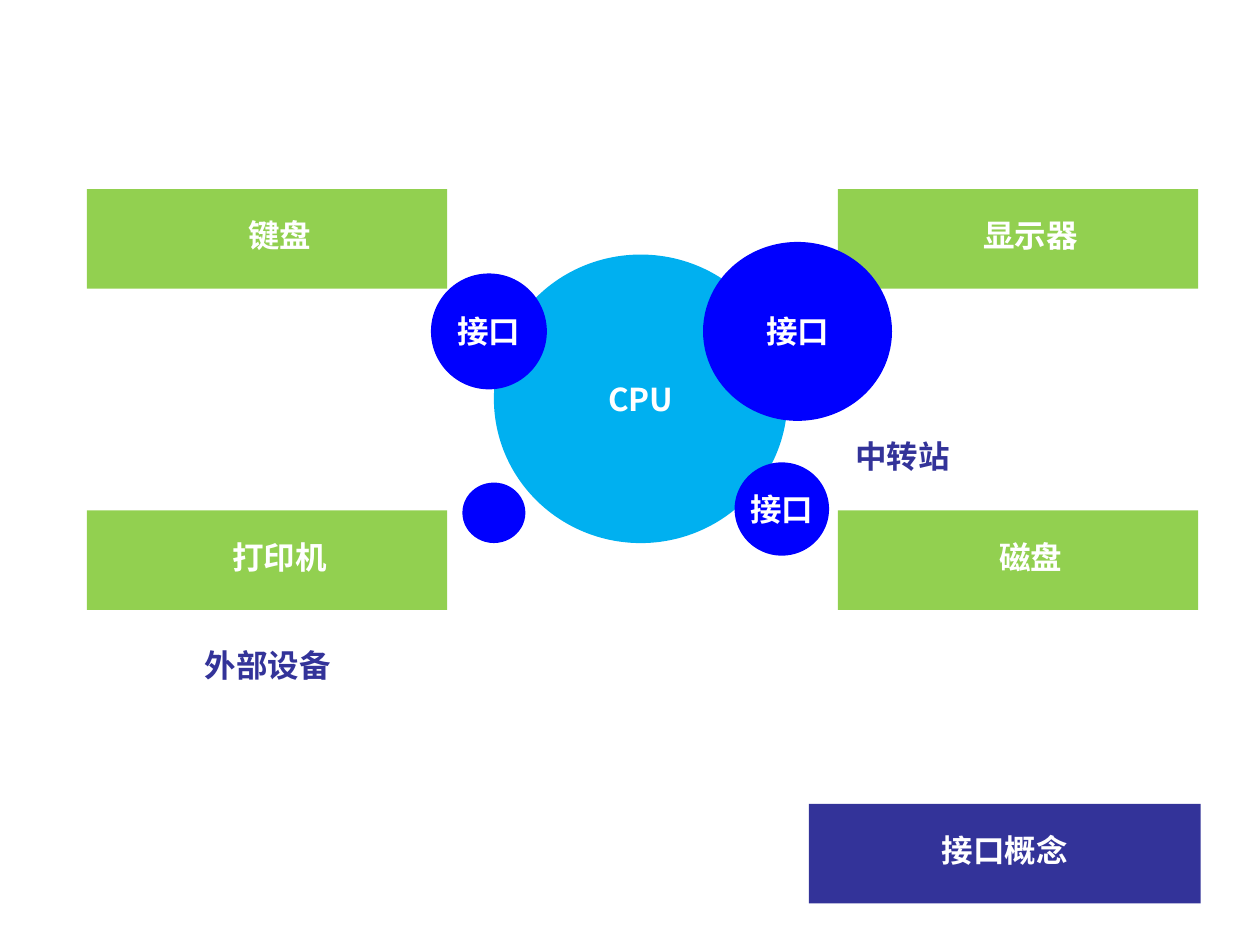
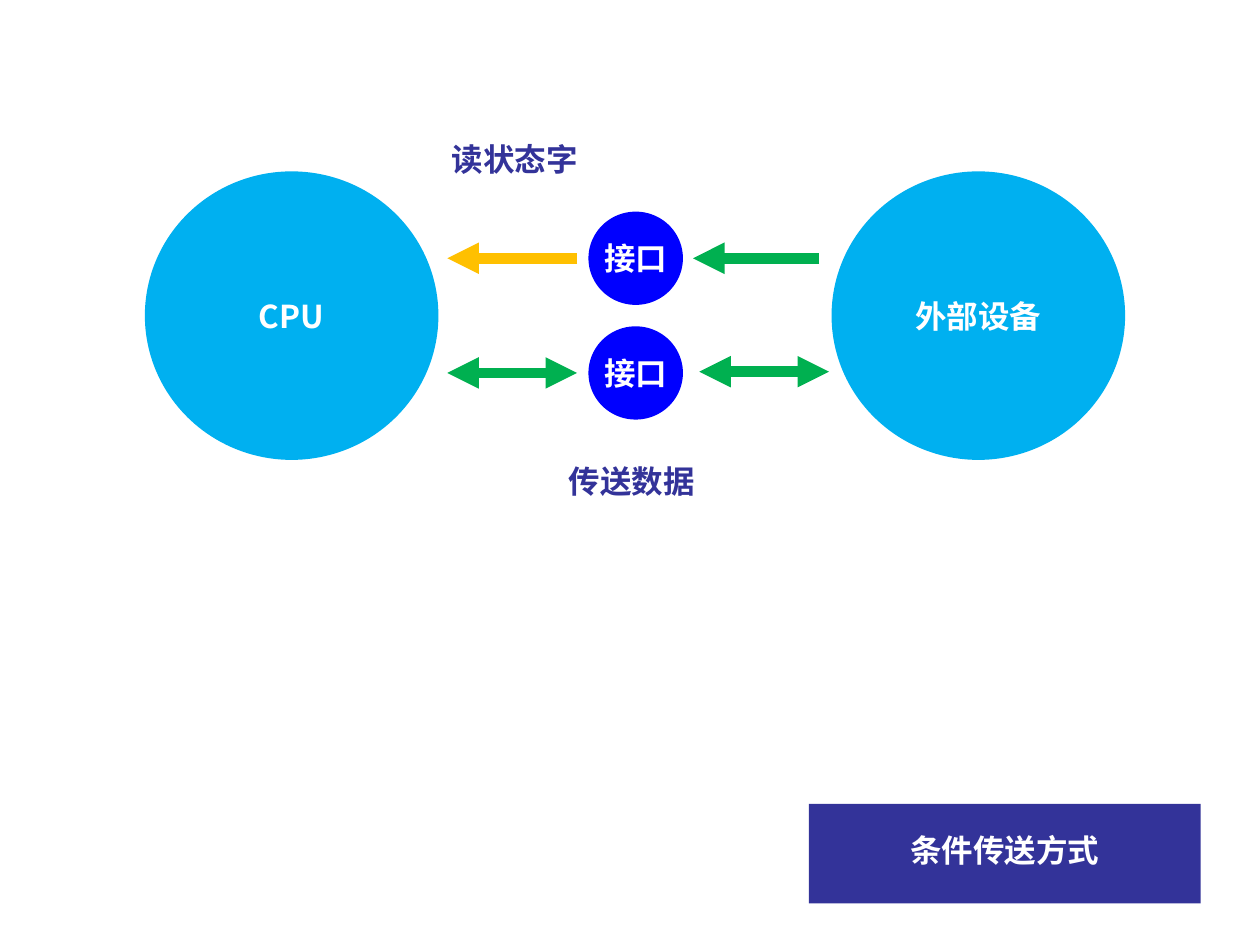
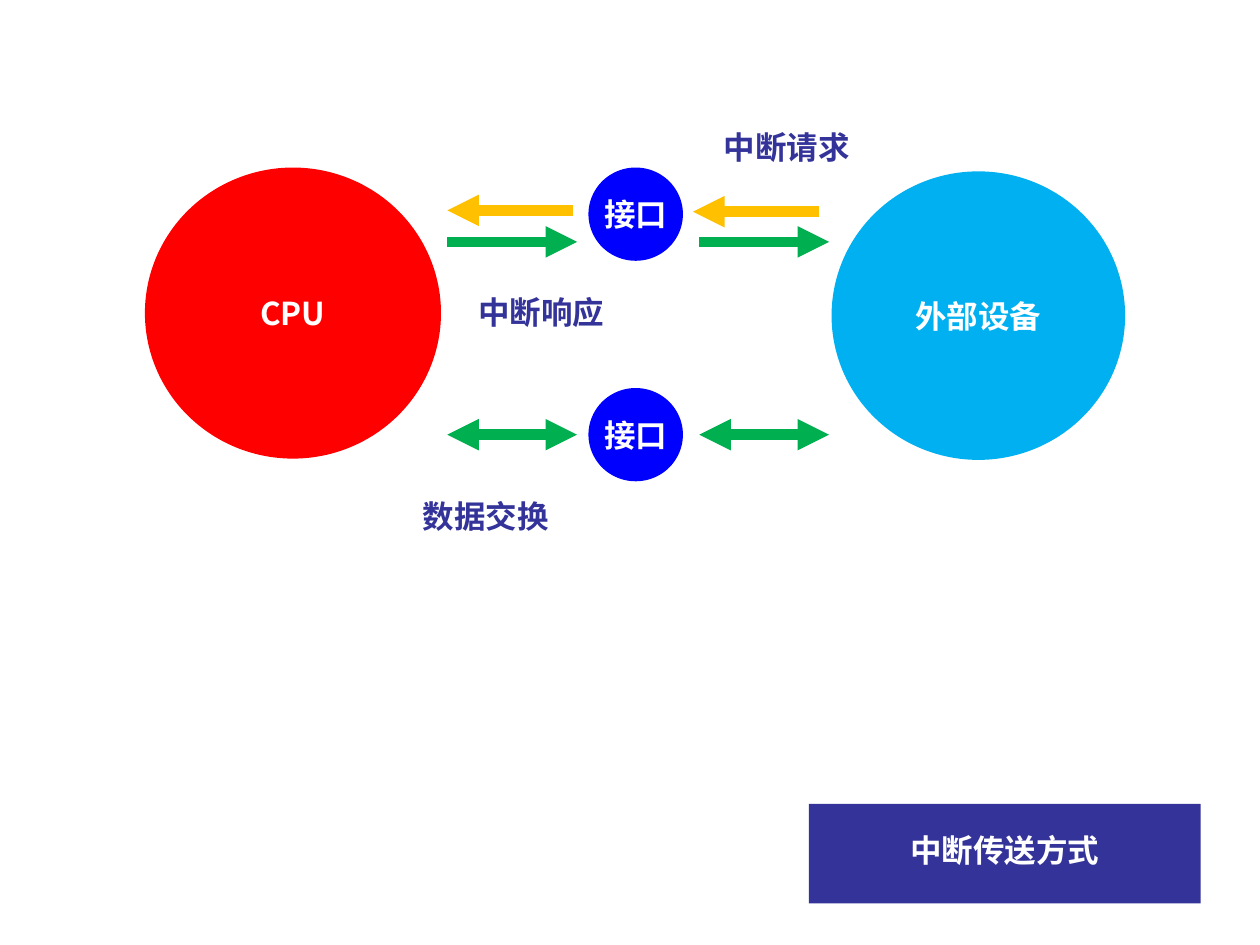
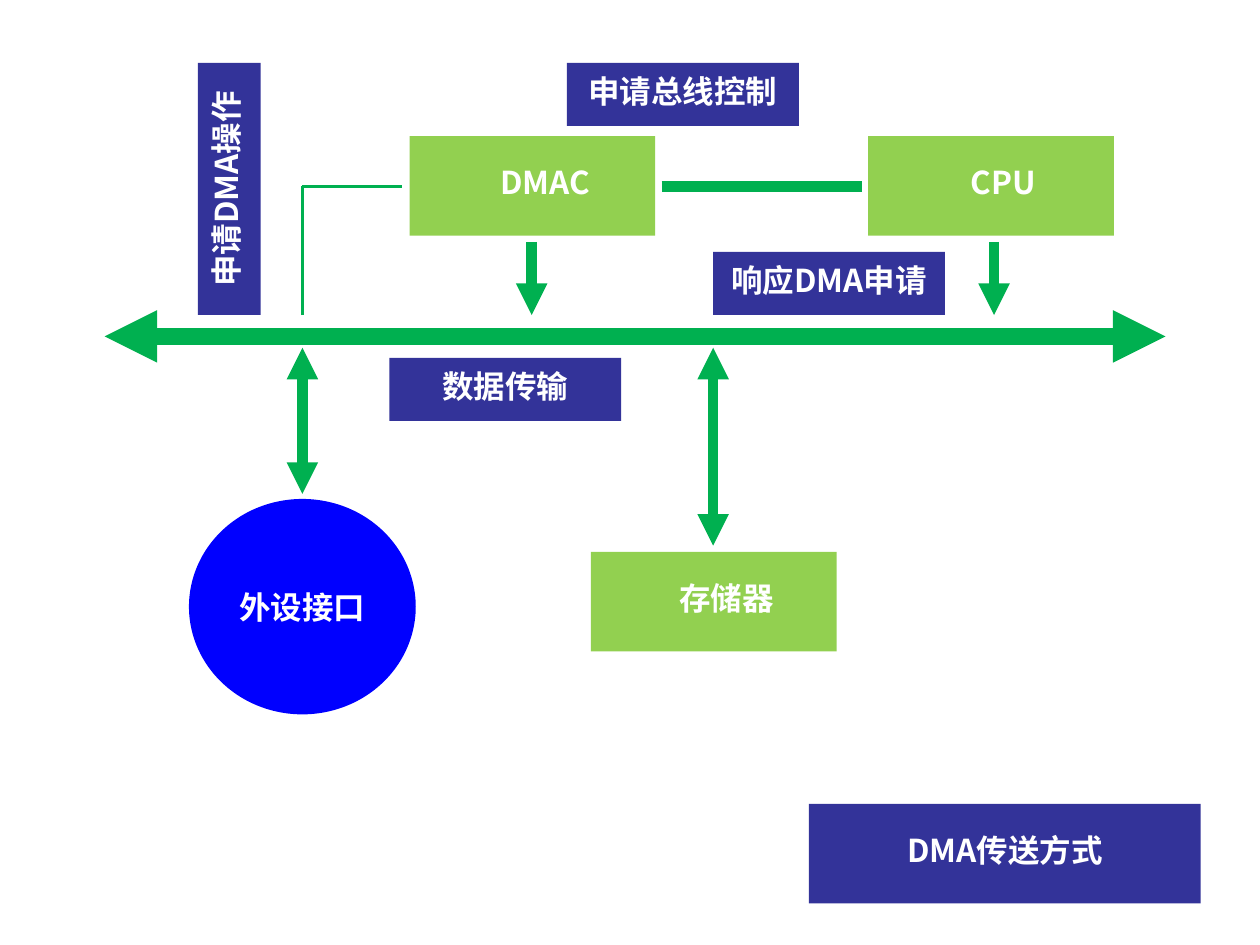
from pptx import Presentation, util as u
from pptx.dml.color import RGBColor
from pptx.enum import shapes, text
from pptx.oxml import ns
from lxml import etree

WHITE = RGBColor(0xFF, 0xFF, 0xFF)
NAVY = RGBColor(0x33, 0x33, 0x99)
BLUE = RGBColor(0x00, 0x00, 0xFF)
SKY = RGBColor(0x00, 0xB0, 0xF0)
LIME = RGBColor(0x92, 0xD0, 0x50)
GREEN = RGBColor(0x00, 0xB0, 0x50)
AMBER = RGBColor(0xFF, 0xC0, 0x00)
RED = RGBColor(0xFF, 0x00, 0x00)


class Deck:
    font = "Noto Sans CJK SC"
    size = u.Pt(18)
    high = 0.79

    def __init__(self):
        self.file = Presentation()
        self.file.slide_width = u.Inches(10)
        self.file.slide_height = u.Inches(7.5)

    def page(self, title):
        self.slide = self.file.slides.add_slide(self.file.slide_layouts[5])
        box = self.slide.shapes.title
        box.left, box.top = u.Inches(6.42), u.Inches(6.38)
        box.width, box.height = u.Inches(3.11), u.Inches(self.high)
        box.fill.solid()
        box.fill.fore_color.rgb = NAVY
        self.letter(box, title, WHITE)
        self.space(box)

    def letter(self, box, words, color):
        frame = box.text_frame
        frame.text = words
        frame.word_wrap = False
        frame.auto_size = text.MSO_AUTO_SIZE.NONE
        frame.vertical_anchor = text.MSO_ANCHOR.MIDDLE
        para = frame.paragraphs[0]
        para.alignment = text.PP_ALIGN.CENTER
        for run in para.runs:
            run.font.name = self.font
            run.font.size = self.size
            run.font.bold = True
            run.font.color.rgb = color
            east = etree.SubElement(run._r.get_or_add_rPr(), ns.qn("a:ea"))
            east.set("typeface", self.font)

    def space(self, box, left=0.67, first=-0.67):
        para = box.text_frame.paragraphs[0]
        para.line_spacing = 0.8
        para.space_before = para.space_after = u.Pt(6)
        props = para._p.get_or_add_pPr()
        props.set("marL", str(u.Inches(left)))
        props.set("indent", str(u.Inches(first)))

    def shape(self, kind, at, fill, words, color=WHITE):
        box = self.slide.shapes.add_shape(kind, *map(u.Inches, at))
        box.shadow.inherit = False
        box.line.fill.background()
        box.fill.solid()
        box.fill.fore_color.rgb = fill
        if words:
            self.letter(box, words, color)
        return box

    def disc(self, words, x, y, w, h, fill=BLUE):
        self.shape(shapes.MSO_SHAPE.OVAL, (x, y, w, h), fill, words)

    def big(self, words, x, y, w=2.33, h=2.29, fill=SKY):
        self.disc(words, x, y, w, h, fill)

    def port(self, x, y):
        self.disc("接口", x, y, 0.75, 0.74)

    def block(self, words, x, y, w):
        at = x, y, w, self.high
        box = self.shape(shapes.MSO_SHAPE.RECTANGLE, at, LIME, words)
        box.text_frame.paragraphs[0].level = 1
        self.space(box, 0.2, 0)

    def note(self, words, x, y, w):
        at = x, y, w, self.high
        box = self.shape(shapes.MSO_SHAPE.RECTANGLE, at, WHITE, words, NAVY)
        self.space(box)

    def label(self, words, x, y, w=1.84, h=0.5):
        box = self.shape(shapes.MSO_SHAPE.RECTANGLE, (x, y, w, h), NAVY, words)
        self.space(box)
        return box

    def plain(self, words, x, y, w, h):
        box = self.slide.shapes.add_textbox(*map(u.Inches, (x, y, w, h)))
        self.letter(box, words, NAVY)
        self.space(box)

    def line(self, x1, y1, x2, y2, color=GREEN, width=6, ends=()):
        link = self.slide.shapes.add_connector(
            shapes.MSO_CONNECTOR.STRAIGHT, *map(u.Inches, (x1, y1, x2, y2)))
        link.line.color.rgb = color
        link.line.width = u.Pt(width)
        stroke = link.line._get_or_add_ln()
        for end in ends:
            etree.SubElement(stroke, ns.qn("a:" + end)).set("type", "triangle")
        etree.SubElement(link._element.spPr, ns.qn("a:effectLst"))

    def arrow(self, *at, color=GREEN):
        self.line(*at, color=color, ends=("tailEnd",))

    def both(self, *at, width=6):
        self.line(*at, width=width, ends=("headEnd", "tailEnd"))


deck = Deck()

deck.page("接口概念")
deck.note("中转站", 6.5, 3.25, 1.33)
for words, x, y in (("显示器", 6.65, 1.5), ("磁盘", 6.65, 4.05),
                    ("键盘", 0.69, 1.5), ("打印机", 0.69, 4.05)):
    deck.block(words, x, y, 2.86)
deck.big("CPU", 3.92, 2.02)
deck.disc("接口", 3.42, 2.17, 0.92, 0.92)
deck.disc("", 3.67, 3.83, 0.5, 0.48)
deck.port(5.83, 3.67)
deck.disc("接口", 5.58, 1.92, 1.5, 1.42)
deck.note("外部设备", 0.69, 4.91, 2.87)

deck.page("条件传送方式")
deck.note("读状态字", 3.42, 0.89, 1.33)
deck.big("CPU", 1.15, 1.36)
deck.port(4.67, 2.59)
deck.note("传送数据", 3.58, 3.45, 2.87)
deck.big("外部设备", 6.6, 1.36)
deck.port(4.67, 1.68)
deck.arrow(4.58, 2.05, 3.55, 2.05, color=AMBER)
deck.arrow(6.5, 2.05, 5.5, 2.05)
deck.both(3.55, 2.96, 4.58, 2.96)
deck.both(5.55, 2.95, 6.58, 2.95)

deck.page("中断传送方式")
deck.note("中断请求", 5.58, 0.8, 1.33)
deck.port(4.67, 3.08)
deck.note("中断响应", 3.58, 2.11, 1.43)
deck.big("外部设备", 6.6, 1.36)
deck.port(4.67, 1.33)
deck.arrow(6.5, 1.68, 5.5, 1.68, color=AMBER)
deck.arrow(4.55, 1.67, 3.55, 1.67, color=AMBER)
for x in (3.55, 5.55):
    deck.both(x, 3.45, x + 1.03, 3.45)
    deck.arrow(x, 1.92, x + 1.03, 1.92)
deck.big("CPU", 1.15, 1.33, 2.35, 2.31, RED)
deck.plain("数据交换", 3.08, 3.83, 1.55, 0.58)

deck.page("DMA传送方式")
deck.label("申请总线控制", 4.5, 0.5)
deck.disc("外设接口", 1.5, 3.96, 1.8, 1.71)
deck.line(5.25, 1.48, 6.84, 1.48)
deck.both(0.83, 2.67, 9.25, 2.67, width=10)
for words, x, y in (("DMAC", 3.25, 1.08), ("CPU", 6.89, 1.08),
                    ("存储器", 4.69, 4.38)):
    deck.block(words, x, y, 1.95)
for x in (4.22, 7.89):
    deck.arrow(x, 1.92, x, 2.5)
deck.line(2.4, 2.5, 2.4, 1.48, width=2)
deck.line(3.19, 1.48, 2.4, 1.48, width=2)
deck.both(2.4, 3.92, 2.4, 2.76)
deck.both(5.66, 4.33, 5.66, 2.76)
side = deck.label("申请DMA操作", 1.57, 0.5, 0.5, 2)
side.text_frame._txBody.bodyPr.set("vert", "vert270")
deck.label("响应DMA申请", 5.66, 2)
deck.label("数据传输", 3.09, 2.84)

deck.file.save("out.pptx")
